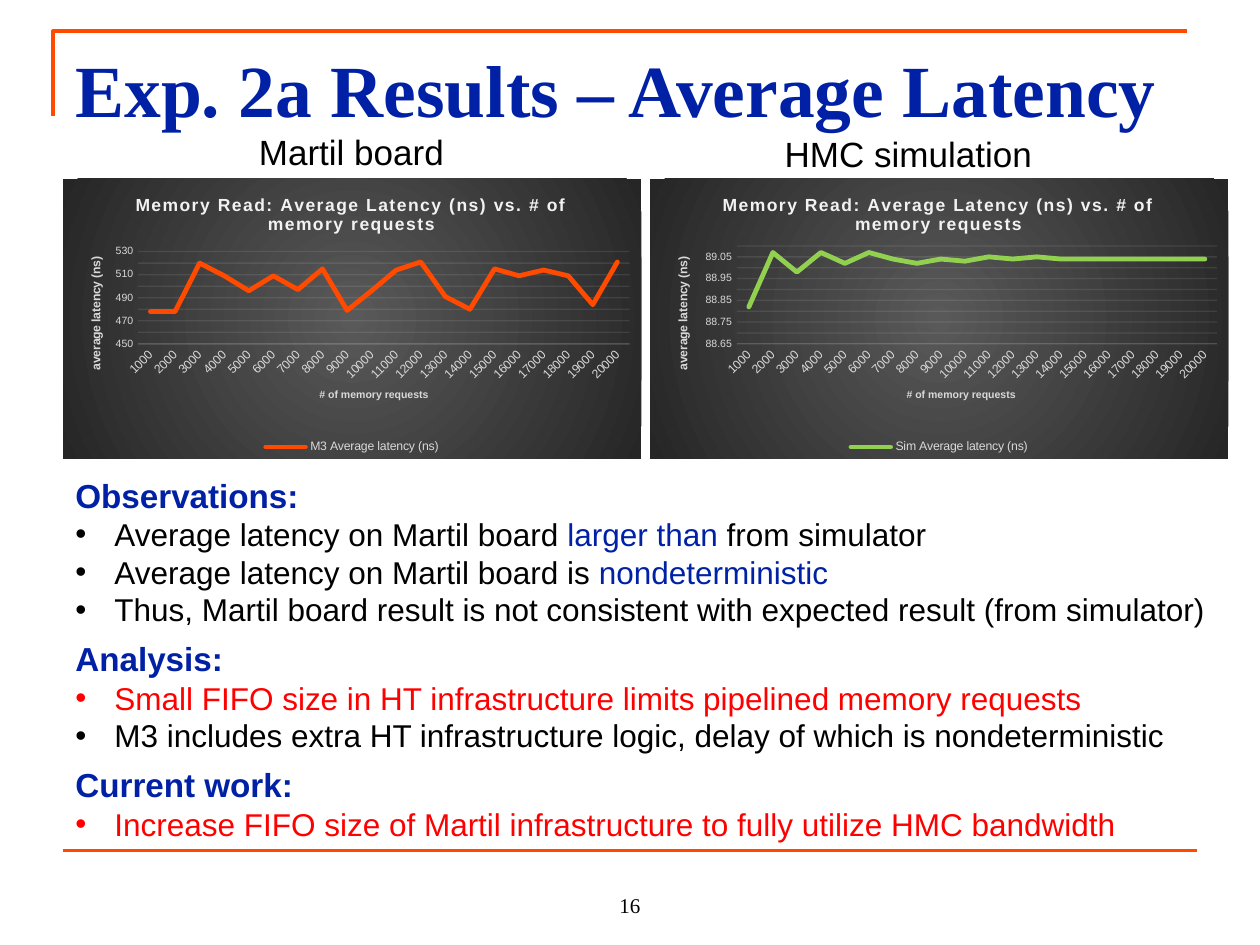
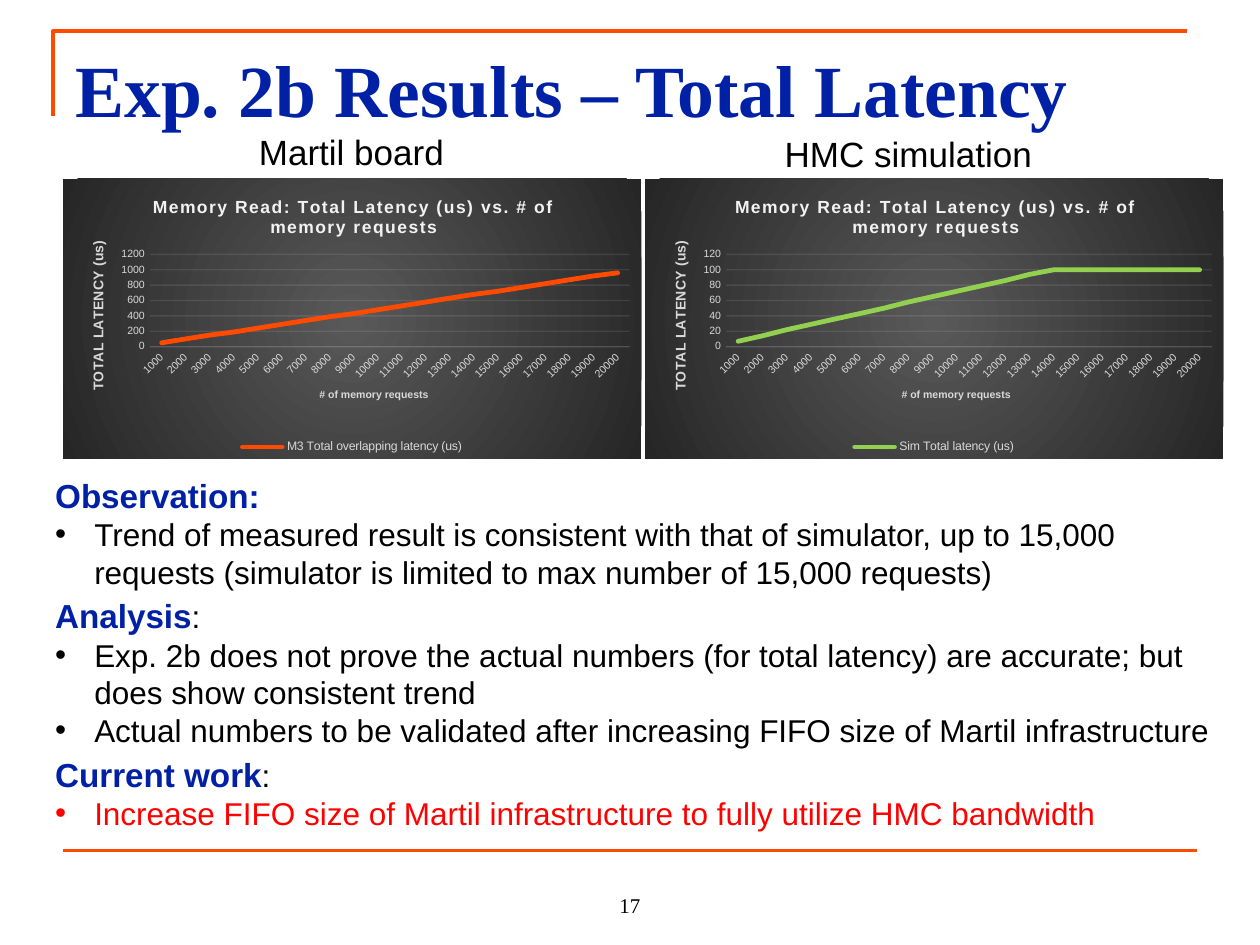
from lxml.etree import SubElement
from pptx import Presentation
from pptx.chart.data import CategoryChartData
from pptx.dml.color import RGBColor
from pptx.enum.chart import XL_CHART_TYPE, XL_LEGEND_POSITION, XL_TICK_MARK
from pptx.enum.shapes import MSO_CONNECTOR
from pptx.enum.text import MSO_ANCHOR, PP_ALIGN
from pptx.oxml import parse_xml
from pptx.oxml.ns import nsdecls, qn
from pptx.util import Inches, Pt

ORANGE = RGBColor(0xFF, 0x4A, 0x00)
GREEN = RGBColor(0x92, 0xD0, 0x50)
BLUE = RGBColor(0x00, 0x21, 0xA5)
RED = RGBColor(0xFF, 0x00, 0x00)
BLACK = RGBColor(0x00, 0x00, 0x00)
PALE = RGBColor(0xF2, 0xF2, 0xF2)
LABEL_GRAY = RGBColor(0xD9, 0xD9, 0xD9)
SERIF, SANS = "Times New Roman", "Arial"

REQUESTS = [str(count) for count in range(1000, 20001, 1000)]
M3_AVERAGE = [478, 478, 520, 509, 496, 509, 497, 515, 479, 496,
              514, 521, 491, 480, 515, 509, 514, 509, 484, 521]
SIM_AVERAGE = [88.82, 89.07, 88.98, 89.07, 89.02, 89.07, 89.04, 89.02, 89.04, 89.03,
               89.05, 89.04, 89.05] + [89.04] * 7
M3_TOTAL = [50, 100, 150, 190, 240, 290, 340, 390, 430, 480,
            530, 580, 630, 680, 720, 770, 820, 870, 920, 960]
SIM_TOTAL = [7, 14, 22, 29, 36, 43, 50, 58, 65, 72, 79, 86, 94] + [100] * 7

AVERAGE_STYLE = {"title": "Memory Read: Average Latency (ns) vs. # of memory requests",
                 "title_at": (0.12, 0.04), "value_title": "average latency (ns)",
                 "value_title_size": 7, "value_title_at": (0.04, 0.27), "category_size": 7}
TOTAL_STYLE = {"title": "Memory Read: Total Latency (us) vs. # of memory requests",
               "title_at": (0.15, 0.05), "value_title": "TOTAL LATENCY (us)",
               "value_title_size": 8, "value_title_at": (0.04, 0.21), "category_size": 6}

GRADIENT_FILL = f"""<c:spPr {nsdecls("c", "a")}><a:gradFill><a:gsLst>
<a:gs pos="0"><a:srgbClr val="595959"/></a:gs><a:gs pos="100000"><a:srgbClr val="262626"/></a:gs>
</a:gsLst><a:path path="circle"><a:fillToRect l="50000" t="50000" r="50000" b="50000"/></a:path>
</a:gradFill><a:ln><a:noFill/></a:ln></c:spPr>"""


def set_font(font, size, color, name=SANS, bold=False):
    font.size, font.name, font.bold = Pt(size), name, bold
    font.color.rgb = color


def add_text_box(slide, left, top, width, height):
    box = slide.shapes.add_textbox(Inches(left), Inches(top), Inches(width), Inches(height))
    box.text_frame.word_wrap = True
    return box.text_frame


def add_label(slide, text, place, size, color=BLACK, name=SANS, bold=False,
              align=PP_ALIGN.CENTER, anchor=MSO_ANCHOR.TOP):
    frame = add_text_box(slide, *place)
    frame.vertical_anchor = anchor
    paragraph = frame.paragraphs[0]
    paragraph.text = text
    paragraph.alignment = align
    set_font(paragraph.font, size, color, name, bold)


def style_line(shape):
    shape.line.color.rgb = ORANGE
    shape.line.width = Pt(2.25)


def add_frame(slide, title, number):
    """Add the corner rule, bottom rule, title, column headings and slide number."""
    builder = slide.shapes.build_freeform(Inches(0.42), Inches(0.92))
    builder.add_line_segments([(Inches(0.42), Inches(0.25)), (Inches(9.42), Inches(0.25))],
                              close=False)
    corner = builder.convert_to_shape()
    corner.fill.background()
    corner.shadow.inherit = False
    style_line(corner)

    rule = slide.shapes.add_connector(MSO_CONNECTOR.STRAIGHT, Inches(0.5), Inches(6.75),
                                      Inches(9.5), Inches(6.75))
    style_line(rule)
    SubElement(rule.element.spPr, qn("a:effectLst"))

    add_label(slide, title, (0.5, 0.3, 9, 1.03), 42, BLUE, SERIF, True, PP_ALIGN.LEFT)
    add_label(slide, "Martil board", (1.16, 0.99, 3.26, 0.55), 20)
    add_label(slide, "HMC simulation", (5.58, 1, 3.26, 0.55), 20)
    add_label(slide, str(number), (4, 6.83, 2, 0.5), 12, name=SERIF, anchor=MSO_ANCHOR.BOTTOM)


def set_layout(element, x, y, width=None, height=None):
    """Place a chart title or the inner plot area by fractions of the chart."""
    for layout in element.findall(qn("c:layout")):
        element.remove(layout)
    settings = {"xMode": "edge", "yMode": "edge", "x": x, "y": y}
    if width:
        settings = {"layoutTarget": "inner", **settings, "w": width, "h": height}
    items = "".join(f'<c:{tag} val="{value}"/>' for tag, value in settings.items())
    layout = parse_xml(f'<c:layout {nsdecls("c")}><c:manualLayout>{items}'
                       '</c:manualLayout></c:layout>')
    text = element.find(qn("c:tx"))
    if text is None:
        element.insert(0, layout)
    else:
        text.addnext(layout)


def write_title(chart_title, text, size, color):
    paragraph = chart_title.text_frame.paragraphs[0]
    run = paragraph.add_run()
    run.text = text
    set_font(run.font, size, color, bold=True)
    return run


def add_latency_chart(slide, left, name, values, color, style, scale, plot):
    """Add a dark line chart; scale is (minimum, maximum, step)."""
    data = CategoryChartData()
    data.categories = REQUESTS
    data.add_series(name, values)
    chart = slide.shapes.add_chart(XL_CHART_TYPE.LINE, Inches(left), Inches(1.42),
                                   Inches(4.59), Inches(2.22), data).chart
    set_font(chart.font, 10, BLACK)
    root = chart.element
    root.find(qn("c:chart")).addnext(parse_xml(GRADIENT_FILL))

    title_run = write_title(chart.chart_title, style["title"], 10, PALE)
    title_run.font._element.set("spc", "100")
    chart.has_legend = True
    chart.legend.position = XL_LEGEND_POSITION.BOTTOM
    chart.legend.include_in_layout = False
    set_font(chart.legend.font, 7, LABEL_GRAY)

    chart.plots[0].vary_by_categories = False
    series = chart.plots[0].series[0]
    series.smooth = False
    series.format.line.color.rgb = color
    series.format.line.width = Pt(2.75)
    for line in root.xpath(".//c:ser/c:spPr/a:ln"):
        line.set("cap", "rnd")

    categories, latency = chart.category_axis, chart.value_axis
    for axis, size in ((categories, style["category_size"]), (latency, 6)):
        axis.major_tick_mark = axis.minor_tick_mark = XL_TICK_MARK.NONE
        set_font(axis.tick_labels.font, size, LABEL_GRAY)
    write_title(categories.axis_title, "# of memory requests", 6, LABEL_GRAY)
    write_title(latency.axis_title, style["value_title"], style["value_title_size"], LABEL_GRAY)
    latency.minimum_scale, latency.maximum_scale, latency.major_unit = scale
    latency.has_major_gridlines = True
    latency.format.line.fill.background()
    for line in (categories.format.line, latency.major_gridlines.format.line):
        line.color.rgb = PALE
        line.width = Pt(0.75)
    for line_color in root.xpath(f".//a:ln//a:srgbClr[@val='{PALE}']"):
        SubElement(line_color, qn("a:alpha")).set("val", "10000")

    root.xpath(".//c:catAx/c:txPr/a:bodyPr")[0].set("rot", "-2700000")
    value_title = root.xpath(".//c:valAx/c:title")[0]
    value_title.xpath(".//a:bodyPr")[0].set("rot", "-5400000")
    set_layout(root.xpath("c:chart/c:title")[0], *style["title_at"])
    set_layout(root.xpath(".//c:catAx/c:title")[0], 0.44, 0.74)
    set_layout(value_title, *style["value_title_at"])
    set_layout(root.xpath(".//c:plotArea")[0], *plot)


def add_runs(paragraph, runs):
    """Add (text, colour) runs."""
    for text, color in runs:
        run = paragraph.add_run()
        run.text = text
        run.font.color.rgb = color


def add_bullet(paragraph, runs):
    properties = paragraph._p.get_or_add_pPr()
    properties.set("marL", str(Inches(0.31)))
    properties.set("indent", str(-Inches(0.31)))
    SubElement(properties, qn("a:buFont")).set("typeface", SANS)
    SubElement(properties, qn("a:buChar")).set("char", "•")
    set_font(paragraph.font, 18, runs[0][1])
    add_runs(paragraph, runs)


def add_heading(paragraph, text, plain_colon):
    set_font(paragraph.font, 19, BLUE, bold=True)
    add_runs(paragraph, [(text, BLUE)])
    colon = paragraph.add_run()
    colon.text = ":"
    if plain_colon:
        set_font(colon.font, 18, BLACK)


def add_findings(slide, place, sections, gap):
    """Add headed bullet lists; sections are (heading, plain colon, bullets)."""
    frame = add_text_box(slide, *place)
    paragraph = frame.paragraphs[0]
    for index, (heading, plain_colon, bullets) in enumerate(sections):
        if index:
            paragraph = frame.add_paragraph()
            paragraph.space_before = Pt(gap)
        add_heading(paragraph, heading, plain_colon)
        for runs in bullets:
            add_bullet(frame.add_paragraph(), runs)


def main():
    presentation = Presentation()
    presentation.slide_width, presentation.slide_height = Inches(10), Inches(7.5)
    blank = presentation.slide_layouts[6]
    current_work = [[("Increase FIFO size of Martil infrastructure to fully utilize HMC bandwidth",
                      RED)]]

    slide = presentation.slides.add_slide(blank)
    add_frame(slide, "Exp. 2a Results – Average Latency", 16)
    add_latency_chart(slide, 0.5, "M3 Average latency (ns)", M3_AVERAGE, ORANGE,
                      AVERAGE_STYLE, (450, 530, 10), (0.13, 0.26, 0.85, 0.33))
    add_latency_chart(slide, 5.16, "Sim Average latency (ns)", SIM_AVERAGE, GREEN,
                      AVERAGE_STYLE, (88.65, 89.1, 0.05), (0.15, 0.24, 0.83, 0.35))
    add_findings(slide, (0.5, 3.72, 9.25, 3.35), [
        ("Observations", False, [
            [("Average latency on Martil board ", BLACK), ("larger than ", BLUE),
             ("from simulator", BLACK)],
            [("Average latency on Martil board is ", BLACK), ("nondeterministic", BLUE)],
            [("Thus, Martil board result is not consistent with expected result "
              "(from simulator)", BLACK)]]),
        ("Analysis", False, [
            [("Small FIFO size in HT infrastructure limits pipelined memory requests", RED)],
            [("M3 includes extra HT infrastructure logic, delay of which is nondeterministic",
              BLACK)]]),
        ("Current work", False, current_work)], 6)

    slide = presentation.slides.add_slide(blank)
    add_frame(slide, "Exp. 2b Results – Total Latency", 17)
    add_latency_chart(slide, 0.5, "M3 Total overlapping latency (us)", M3_TOTAL, ORANGE,
                      TOTAL_STYLE, (0, 1200, 200), (0.15, 0.27, 0.83, 0.33))
    add_latency_chart(slide, 5.12, "Sim Total latency (us)", SIM_TOTAL, GREEN,
                      TOTAL_STYLE, (0, 120, 20), (0.14, 0.27, 0.84, 0.33))
    add_findings(slide, (0.34, 3.72, 9.5, 3.26), [
        ("Observation", False, [
            [("Trend of measured result is consistent with that of simulator, up to 15,000 "
              "requests (simulator is limited to max number of 15,000 requests)", BLACK)]]),
        ("Analysis", True, [
            [("Exp. 2b does not prove the actual numbers (for total latency) are accurate; "
              "but does show consistent trend", BLACK)],
            [("Actual numbers to be validated after increasing FIFO size of Martil "
              "infrastructure", BLACK)]]),
        ("Current work", True, current_work)], 3)

    presentation.save("out.pptx")


if __name__ == "__main__":
    main()
